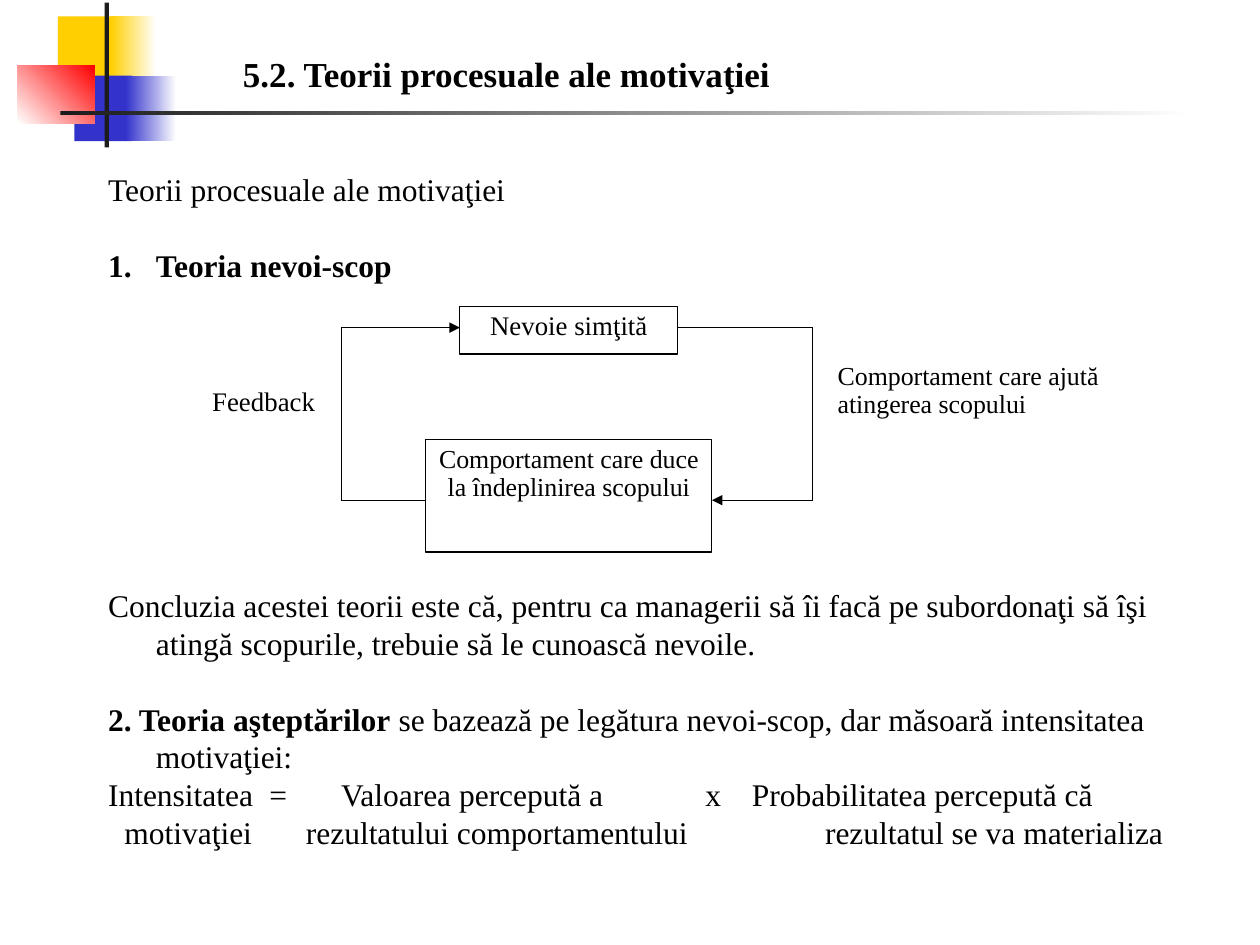
from pptx import Presentation
from pptx.util import Inches, Pt
from pptx.dml.color import RGBColor
from pptx.enum.shapes import MSO_SHAPE, MSO_CONNECTOR
from pptx.enum.text import MSO_ANCHOR, PP_ALIGN
from pptx.oxml.ns import qn
from lxml.etree import SubElement

HEX = {"gold": "FFCF01", "blue": "3333CC", "red": "FF0000",
       "dark": "1C1C1C", "white": "FFFFFF", "black": "000000"}
FONT = "Times New Roman"
COLS, ROWS = 100, 75  # slide grid, square cells
LINE = 21.5           # body line pitch, points

deck = Presentation()
deck.slide_width, deck.slide_height = Inches(10), Inches(7.5)
CELL = deck.slide_width / COLS


def rgb(name):
    return RGBColor.from_string(HEX[name])


def grid(*cells):
    return [round(c * CELL) for c in cells]


def within(box, col, row, wide, high):
    return grid(box[0] + col, box[1] + row, wide, high)


def style(run, size, bold=False):
    font = run.font
    font.name, font.size, font.bold = FONT, Pt(size), bold
    font.color.rgb = rgb("black")


def block(slide, area, fill=None, end=None, angle=0, edge=None):
    shape = slide.shapes.add_shape(MSO_SHAPE.RECTANGLE, *area)
    shape.shadow.inherit = False
    if end:
        shape.fill.gradient()
        shape.fill.gradient_angle = angle
        for stop, name in zip(shape.fill.gradient_stops, (fill, end)):
            stop.color.rgb = rgb(name)
    elif fill:
        shape.fill.solid()
        shape.fill.fore_color.rgb = rgb(fill)
    else:
        shape.fill.background()
    if edge:
        shape.line.color.rgb = rgb(edge)
        shape.line.width = Pt(0.75)
    else:
        shape.line.fill.background()
    return shape


def add_logo(slide, box):
    # Corner squares, then the two rules that cross them
    parts = [
        ((3.2, 1.1, 4.8, 5.2), "gold", None, 0),
        ((7.4, 1.1, 3.6, 5.2), "gold", "white", 0),
        ((4.5, 5.8, 4.6, 5.2), "blue", None, 0),
        ((8.6, 5.8, 4, 5.2), "blue", "white", 0),
        ((0, 5, 6.1, 4.6), "white", "red", 45),
        ((6.9, 0, 0.35, 11.5), "dark", None, 0),
        ((3.4, 8.6, 90, 0.3), "dark", "white", 0),
    ]
    for area, fill, end, angle in parts:
        block(slide, within(box, *area), fill, end, angle)


def add_title(slide, box):
    frame = slide.shapes.add_textbox(*grid(*box)).text_frame
    frame.word_wrap = False
    frame.text = "5.2. Teorii procesuale ale motivaţiei"
    style(frame.paragraphs[0].runs[0], 20, True)


def set_tabs(para, stops):
    tabs = SubElement(para._p.get_or_add_pPr(), qn("a:tabLst"))
    for stop in stops:
        SubElement(tabs, qn("a:tab"), pos=str(Inches(stop)), algn="l")


def add_body(slide, box):
    frame = slide.shapes.add_textbox(*grid(*box)).text_frame
    frame.word_wrap = True
    # Bold lead, plain rest, lines of space before, tab stops
    rows = [
        ("", "Teorii procesuale ale motivaţiei", 0, None),
        ("Teoria nevoi-scop", "", 1, None),
        ("", "Concluzia acestei teorii este că, pentru ca managerii să îi facă pe "
         "subordonaţi să îşi atingă scopurile, trebuie să le cunoască nevoile.",
         8.04, None),
        ("2. Teoria aşteptărilor", " se bazează pe legătura nevoi-scop, dar "
         "măsoară intensitatea motivaţiei:", 1, None),
        ("", "Intensitatea\t=\tValoarea percepută a\tx\tProbabilitatea percepută că",
         0, (1.28, 1.85, 4.74, 5.11)),
        ("", "\tmotivaţiei\trezultatului comportamentului\trezultatul se va materializa",
         0, (0.13, 1.57, 5.69)),
    ]
    for i, (lead, rest, gap, tabs) in enumerate(rows):
        para = frame.paragraphs[0] if i == 0 else frame.add_paragraph()
        props = para._p.get_or_add_pPr()
        if tabs:
            set_tabs(para, tabs)
        else:
            props.set("marL", str(Inches(0.38)))
            props.set("indent", str(Inches(-0.38)))
        if lead and not rest:
            SubElement(props, qn("a:buFont"), typeface=FONT)
            SubElement(props, qn("a:buAutoNum"), type="arabicPeriod")
        para.line_spacing = Pt(LINE)
        para.space_before = Pt(round(gap * LINE))
        for text, bold in ((lead, True), (rest, False)):
            if text:
                run = para.add_run()
                run.text = text
                style(run, 18, bold)


def add_node(slide, area, text, size, align, fill, edge):
    frame = block(slide, area, fill, edge=edge).text_frame
    frame.word_wrap = True
    frame.vertical_anchor = MSO_ANCHOR.TOP
    frame.text = text
    para = frame.paragraphs[0]
    para.alignment, para.line_spacing = align, 0.9
    style(para.runs[0], size)


def add_edge(slide, box, start, stop, arrow):
    ends = grid(box[0] + start[0], box[1] + start[1],
                box[0] + stop[0], box[1] + stop[1])
    edge = slide.shapes.add_connector(MSO_CONNECTOR.STRAIGHT, *ends)
    edge.line.color.rgb = rgb("black")
    edge.line.width = Pt(0.75)
    if arrow:
        SubElement(edge.line._get_or_add_ln(), qn("a:tailEnd"), type="triangle")
    SubElement(edge._element.spPr, qn("a:effectLst"))


def add_cycle(slide, box):
    # Nodes and side labels
    mid, left, right = PP_ALIGN.CENTER, PP_ALIGN.LEFT, PP_ALIGN.RIGHT
    nodes = [
        ((25.2, 0, 17.3, 3.8), "Nevoie simţită", 15.3, mid, "white", "black"),
        ((22.5, 10.6, 22.7, 8.9), "Comportament care duce la îndeplinirea scopului",
         14.8, mid, "white", "black"),
        ((54.2, 4, 22.7, 8.8), "Comportament care ajută atingerea scopului",
         14.8, left, None, "white"),
        ((0, 6, 14.7, 3.8), "Feedback", 15.3, right, "white", "white"),
    ]
    for area, *rest in nodes:
        add_node(slide, within(box, *area), *rest)
    # Each route leaves one node and ends in an arrow at the other
    top, low, west, east = 1.7, 15.4, 15.8, 53.2
    routes = [
        [(42.5, top), (east, top), (east, low), (45.2, low)],
        [(22.5, low), (west, low), (west, top), (25.2, top)],
    ]
    for route in routes:
        for start, stop in zip(route, route[1:]):
            add_edge(slide, box, start, stop, stop == route[-1])


def main():
    slide = deck.slides.add_slide(deck.slide_layouts[6])
    add_logo(slide, (1.4, 0.2, 92.4, 11.5))
    add_body(slide, (7.6, 13, 90.6, ROWS - 17))
    add_title(slide, (18.3, 3.7, 44.9, 4.4))
    add_cycle(slide, (11.3, 24.3, 76.9, 19.5))
    deck.save("out.pptx")


if __name__ == "__main__":
    main()
